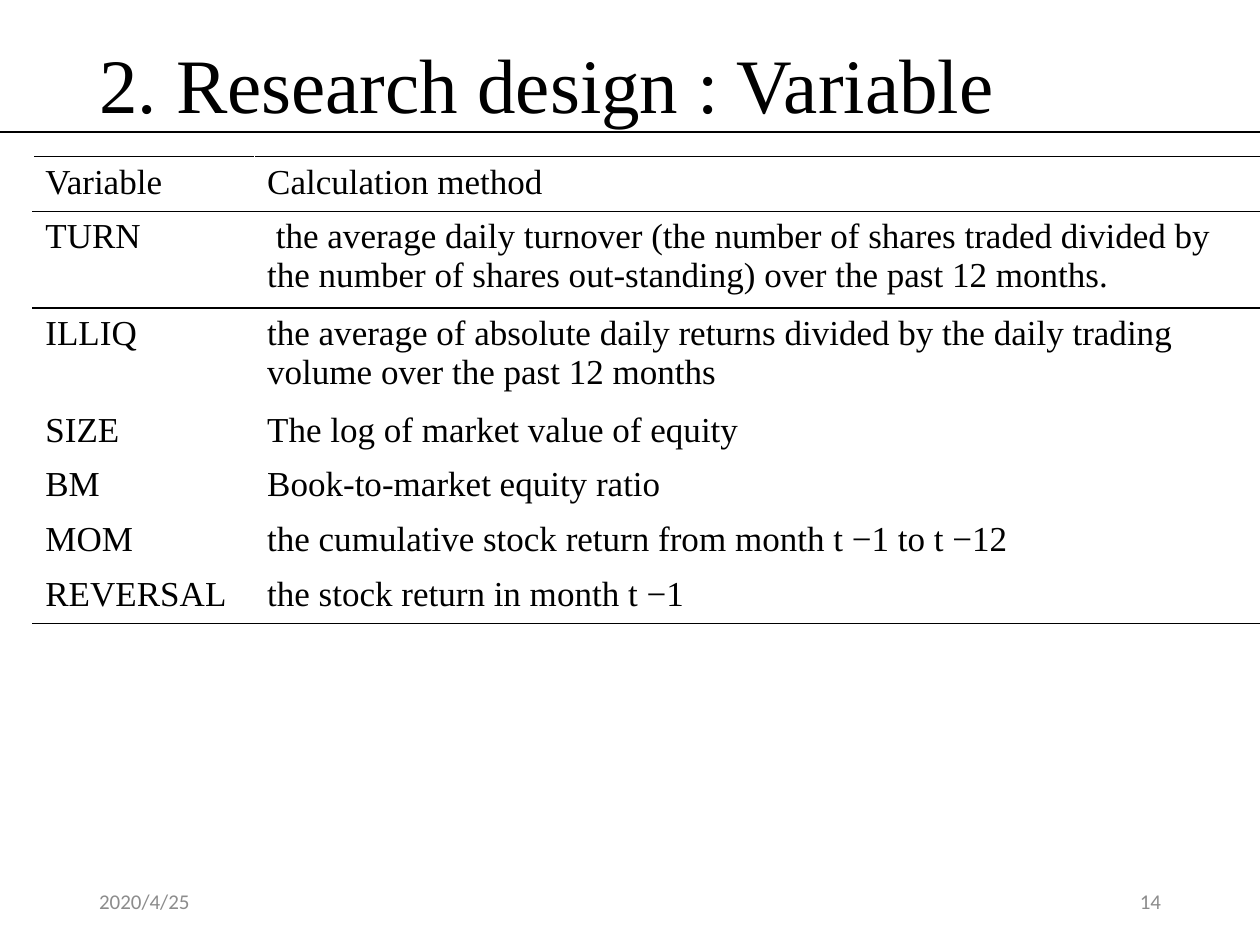
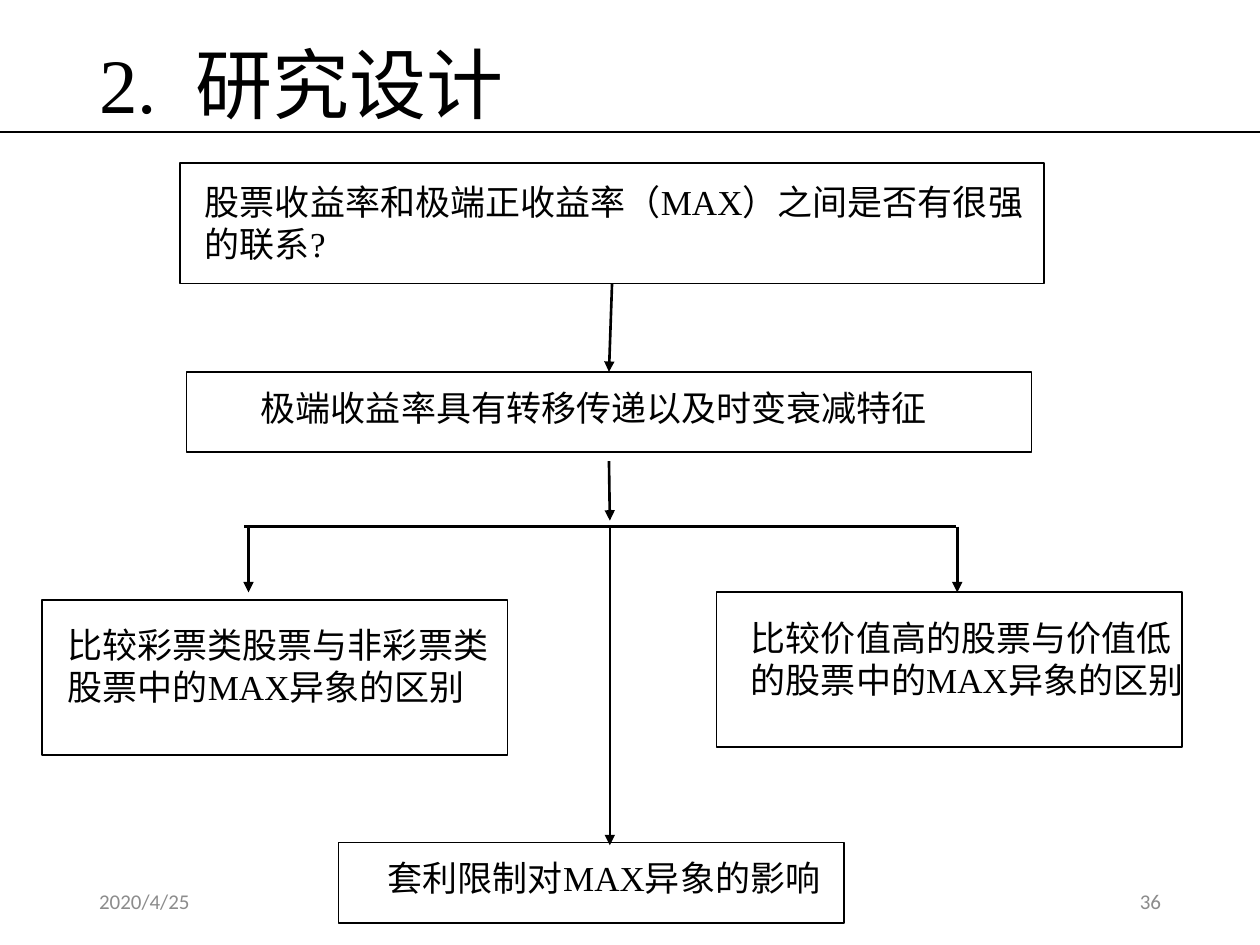
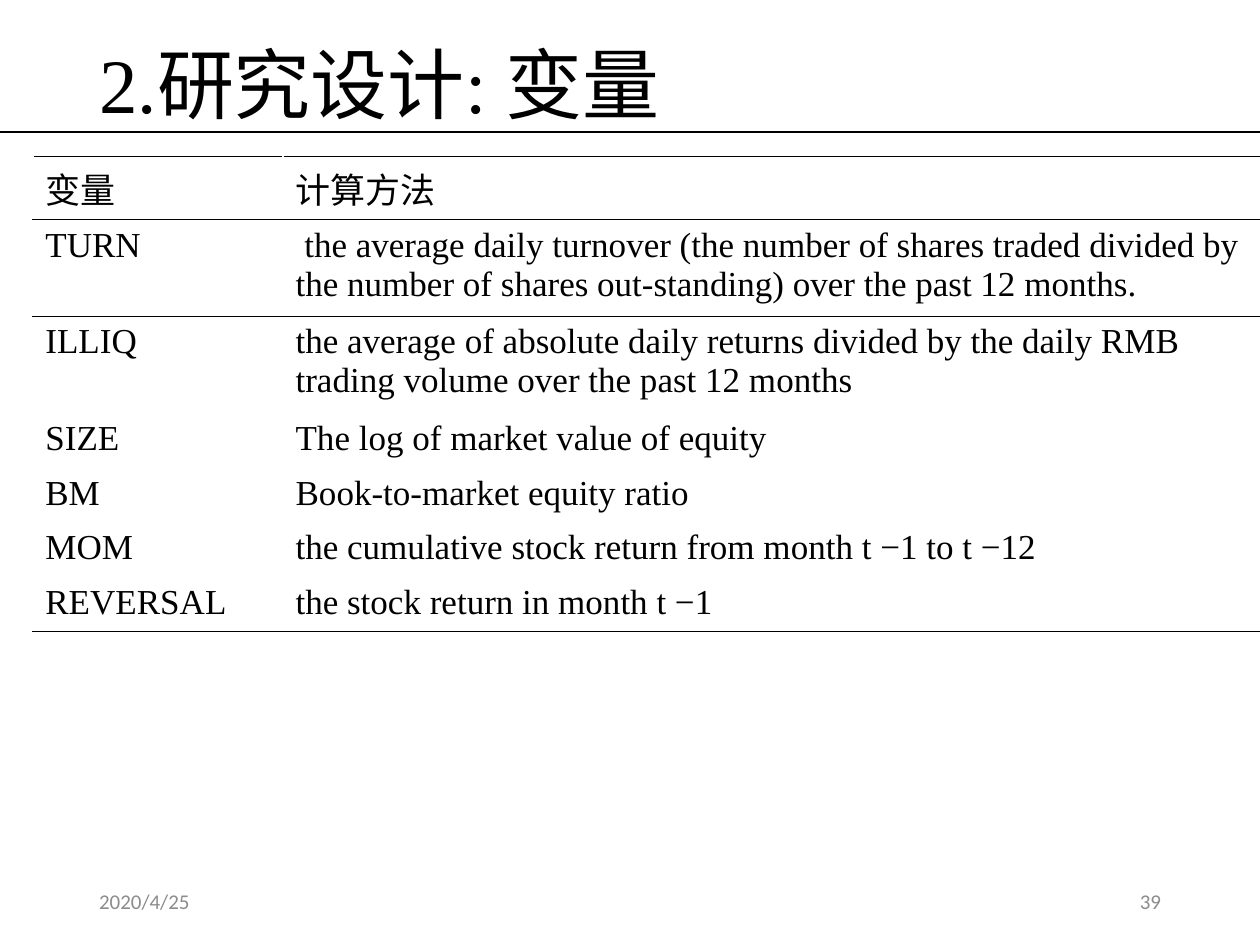
from lxml.etree import SubElement
from pptx import Presentation
from pptx.dml.color import RGBColor
from pptx.enum.shapes import MSO_CONNECTOR as Connector, MSO_SHAPE as Preset
from pptx.enum.text import MSO_ANCHOR as Anchor, MSO_AUTO_SIZE as AutoSize, PP_ALIGN as Align
from pptx.oxml import parse_xml
from pptx.oxml.ns import nsdecls, qn
from pptx.util import Pt

BLACK, GREY = "000000", "8C8C8C"
SERIF, SANS = "Times New Roman", "Calibri"
DATE = "2020/4/25"
TITLE_TOP, RULE_TOP, FOOTER_TOP, FOOTER_HEIGHT = 23, 75.5, 500.5, 29
MARGIN, FOOTER_WIDTH, SLIDE_WIDTH, SLIDE_HEIGHT = 49.5, 162, 720, 540
TABLE_LEFT, TABLE_TOP = 18.75, 89.5
ROW_HEIGHT, TALL_ROW_HEIGHT, CHINESE_ROW_HEIGHT = 29.4, 51.7, 36
RULED_ROWS = 2

TURN = ("TURN", " the average daily turnover (the number of shares traded divided by "
        "the number of shares out-standing) over the past 12 months.")
ILLIQ = "the average of absolute daily returns divided by the daily {}trading volume over the past 12 months"
COMMON_VARIABLES = [
    ("SIZE", "The log of market value of equity"),
    ("BM", "Book-to-market equity ratio"),
    ("MOM", "the cumulative stock return from month t −1 to t −12"),
    ("REVERSAL", "the stock return in month t −1"),
]

VARIABLE_SLIDE = {
    "title": "2. Research design : Variable",
    "number": "14",
    "rows": [("Variable", "Calculation method"), TURN, ("ILLIQ", ILLIQ.format("")), *COMMON_VARIABLES],
    "columns": (126.75, 582),
    "header_height": ROW_HEIGHT,
}
CHINESE_VARIABLE_SLIDE = {
    "title": "2.研究设计: 变量",
    "number": "39",
    "rows": [("变量", "计算方法"), TURN, ("ILLIQ", ILLIQ.format("RMB ")), *COMMON_VARIABLES],
    "columns": (143, 566),
    "header_height": CHINESE_ROW_HEIGHT,
}
DESIGN_SLIDE = {"title": "2.  研究设计", "number": "36"}

# name: text, frame (left, top, width, height), text area (left, top, width, height)
STEPS = {
    "question": ("股票收益率和极端正收益率（MAX）之间是否有很强的联系?",
                 (103, 93, 493.5, 69), (110, 99.5, 493.5, 55.5)),
    "decay": ("极端收益率具有转移传递以及时变衰减特征",
              (106.5, 212.5, 483, 46), (142, 217.5, 487.5, 31.5)),
    "lottery": ("比较彩票类股票与非彩票类股票中的MAX异象的区别",
                (24, 343, 266, 88.5), (31.5, 353, 258.5, 55.5)),
    "value": ("比较价值高的股票与价值低的股票中的MAX异象的区别",
              (409.5, 338.5, 266, 88.5), (422, 348.5, 261.5, 55.5)),
    "arbitrage": ("套利限制对MAX异象的影响",
                  (193.5, 481.5, 289, 46), (214.5, 486, 291.5, 31.5)),
}
BRANCH_TOP = 301
BRANCH_BAR = (139.5, BRANCH_TOP, 546.5, BRANCH_TOP)
ARROWS = [
    (348, 263.5, 348.5, 297.5),
    (142, BRANCH_TOP, 142, 338.5),
    (547, BRANCH_TOP, 547, 338.5),
    (348.5, BRANCH_TOP, 348.5, 483),
]


def color(value):
    return RGBColor.from_string(value)


def points(values):
    return [Pt(value) for value in values]


def format_paragraph(paragraph, size, name=SERIF, fill=BLACK, align=Align.LEFT):
    paragraph.alignment = align
    paragraph.font.size = Pt(size)
    paragraph.font.name = name
    paragraph.font.color.rgb = color(fill)


def add_text(shapes, text, area, size, anchor=Anchor.TOP, **style):
    frame = shapes.add_textbox(*points(area)).text_frame
    frame.word_wrap = True
    frame.vertical_anchor = anchor
    frame.text = text
    format_paragraph(frame.paragraphs[0], size, **style)


def add_line(slide, ends, arrow=False):
    line = slide.shapes.add_connector(Connector.STRAIGHT, *points(ends))
    line.line.color.rgb = color(BLACK)
    line.line.width = Pt(1.5)
    if arrow:
        SubElement(line.line._get_or_add_ln(), qn("a:tailEnd"), type="triangle")
    SubElement(line._element.spPr, qn("a:effectLst"))
    return line


def add_base_slide(presentation, content):
    slide = presentation.slides.add_slide(presentation.slide_layouts[5])
    title = slide.shapes.title
    title.left, title.top, title.width, title.height = points((MARGIN, TITLE_TOP, 660, 50))
    frame = title.text_frame
    frame.text = content["title"]
    frame.auto_size = AutoSize.NONE
    frame.vertical_anchor = Anchor.TOP
    format_paragraph(frame.paragraphs[0], 44)
    frame.paragraphs[0].line_spacing = 0.9
    add_line(slide, (0, RULE_TOP, SLIDE_WIDTH, RULE_TOP))
    number_left = SLIDE_WIDTH - MARGIN - FOOTER_WIDTH
    for text, left, align in ((DATE, MARGIN, Align.LEFT), (content["number"], number_left, Align.RIGHT)):
        add_text(slide.shapes, text, (left, FOOTER_TOP, FOOTER_WIDTH, FOOTER_HEIGHT), 12,
                 Anchor.MIDDLE, name=SANS, fill=GREY, align=align)
    return slide


def set_borders(cell, sides):
    properties = cell._tc.get_or_add_tcPr()
    for position, side in enumerate(sides):
        properties.insert(position, parse_xml(
            f'<a:ln{side} {nsdecls("a")} w="{Pt(1)}"><a:solidFill>'
            f'<a:srgbClr val="{BLACK}"/></a:solidFill></a:ln{side}>'))


def add_variable_slide(presentation, content):
    slide = add_base_slide(presentation, content)
    rows, columns = content["rows"], content["columns"]
    heights = [content["header_height"], TALL_ROW_HEIGHT, TALL_ROW_HEIGHT]
    heights += [ROW_HEIGHT] * len(COMMON_VARIABLES)
    area = points((TABLE_LEFT, TABLE_TOP, sum(columns), sum(heights)))
    table = slide.shapes.add_table(len(rows), len(columns), *area).table
    table.first_row = table.horz_banding = False
    for column, width in zip(table.columns, columns):
        column.width = Pt(width)
    for index, (row, height, texts) in enumerate(zip(table.rows, heights, rows)):
        row.height = Pt(height)
        sides = "T" if index <= RULED_ROWS else ""
        if index < RULED_ROWS or index == len(rows) - 1:
            sides += "B"
        for cell, text in zip(row.cells, texts):
            cell.text = text
            cell.fill.background()
            format_paragraph(cell.text_frame.paragraphs[0], 20)
            set_borders(cell, sides)


def add_step(slide, text, frame, text_area):
    group = slide.shapes.add_group_shape()
    box = group.shapes.add_shape(Preset.RECTANGLE, *points(frame))
    box.shadow.inherit = False
    box.fill.background()
    box.line.color.rgb = color(BLACK)
    box.line.width = Pt(1)
    add_text(group.shapes, text, text_area, 20)
    return box


def add_design_slide(presentation):
    slide = add_base_slide(presentation, DESIGN_SLIDE)
    boxes = {name: add_step(slide, *step) for name, step in STEPS.items()}
    link = add_line(slide, (0, 0, 0, 0), arrow=True)
    link.begin_connect(boxes["question"], 2)
    link.end_connect(boxes["decay"], 0)
    add_line(slide, BRANCH_BAR)
    for ends in ARROWS:
        add_line(slide, ends, arrow=True)


def main():
    presentation = Presentation()
    presentation.slide_width, presentation.slide_height = Pt(SLIDE_WIDTH), Pt(SLIDE_HEIGHT)
    add_variable_slide(presentation, VARIABLE_SLIDE)
    add_design_slide(presentation)
    add_variable_slide(presentation, CHINESE_VARIABLE_SLIDE)
    presentation.save("out.pptx")


if __name__ == "__main__":
    main()
